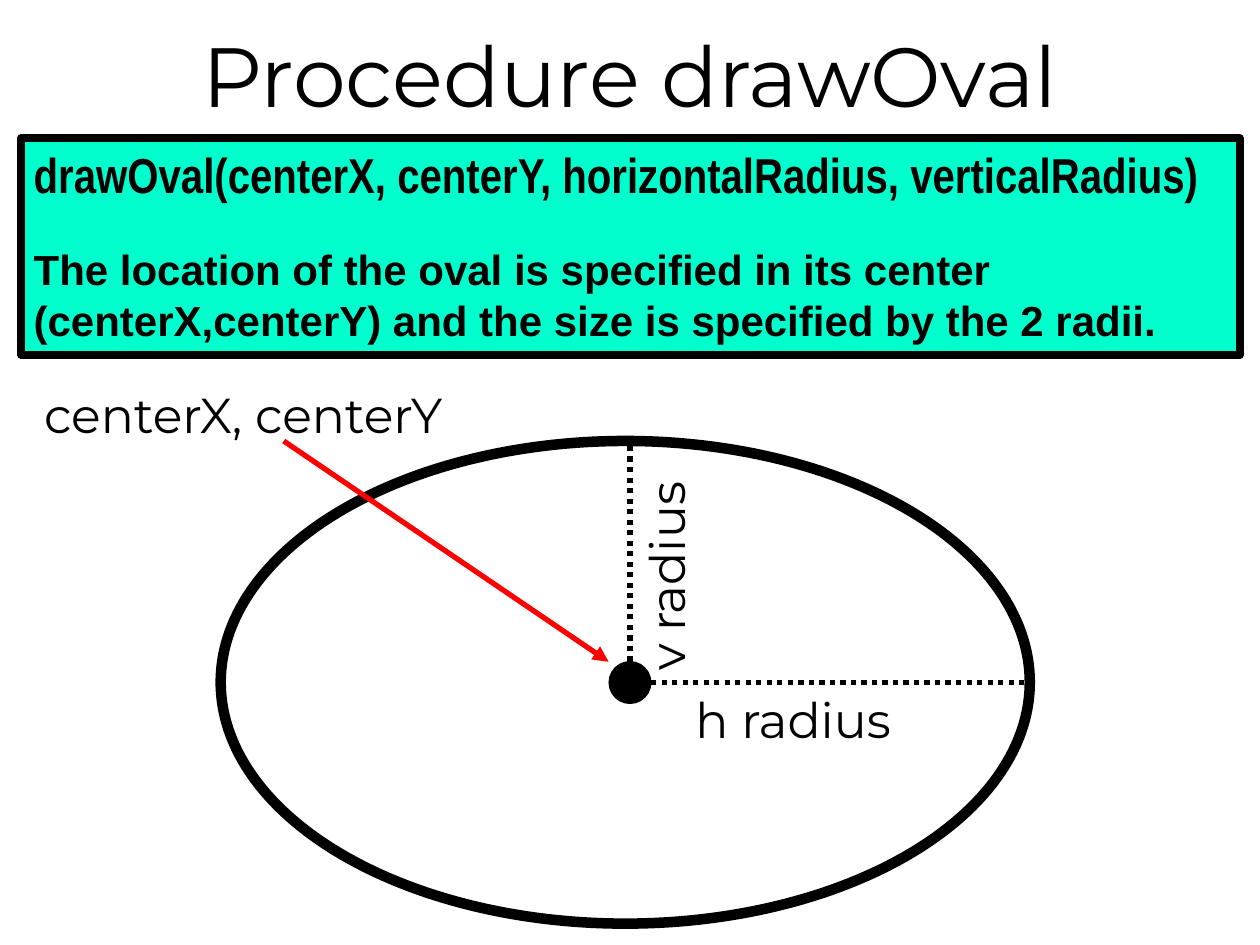
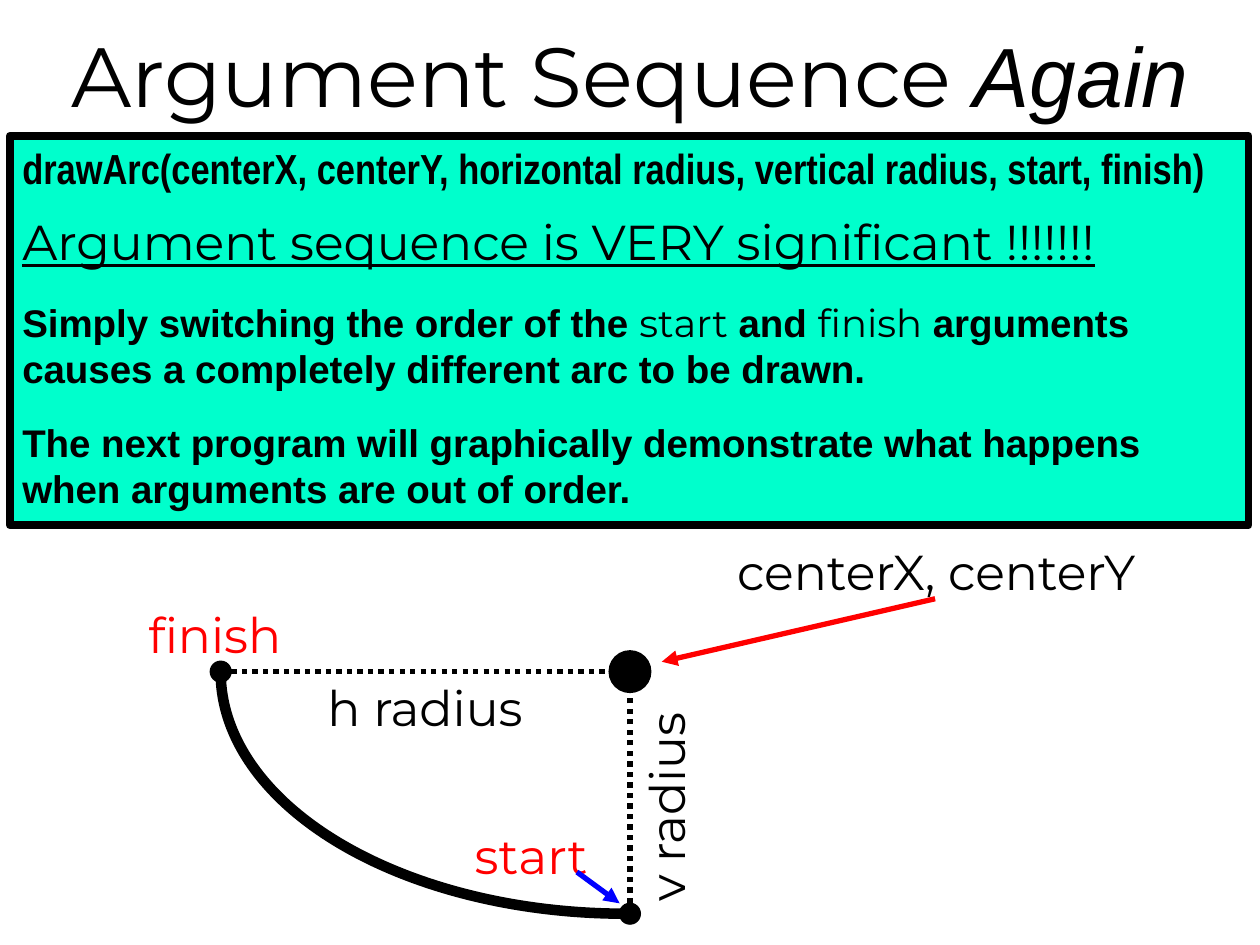
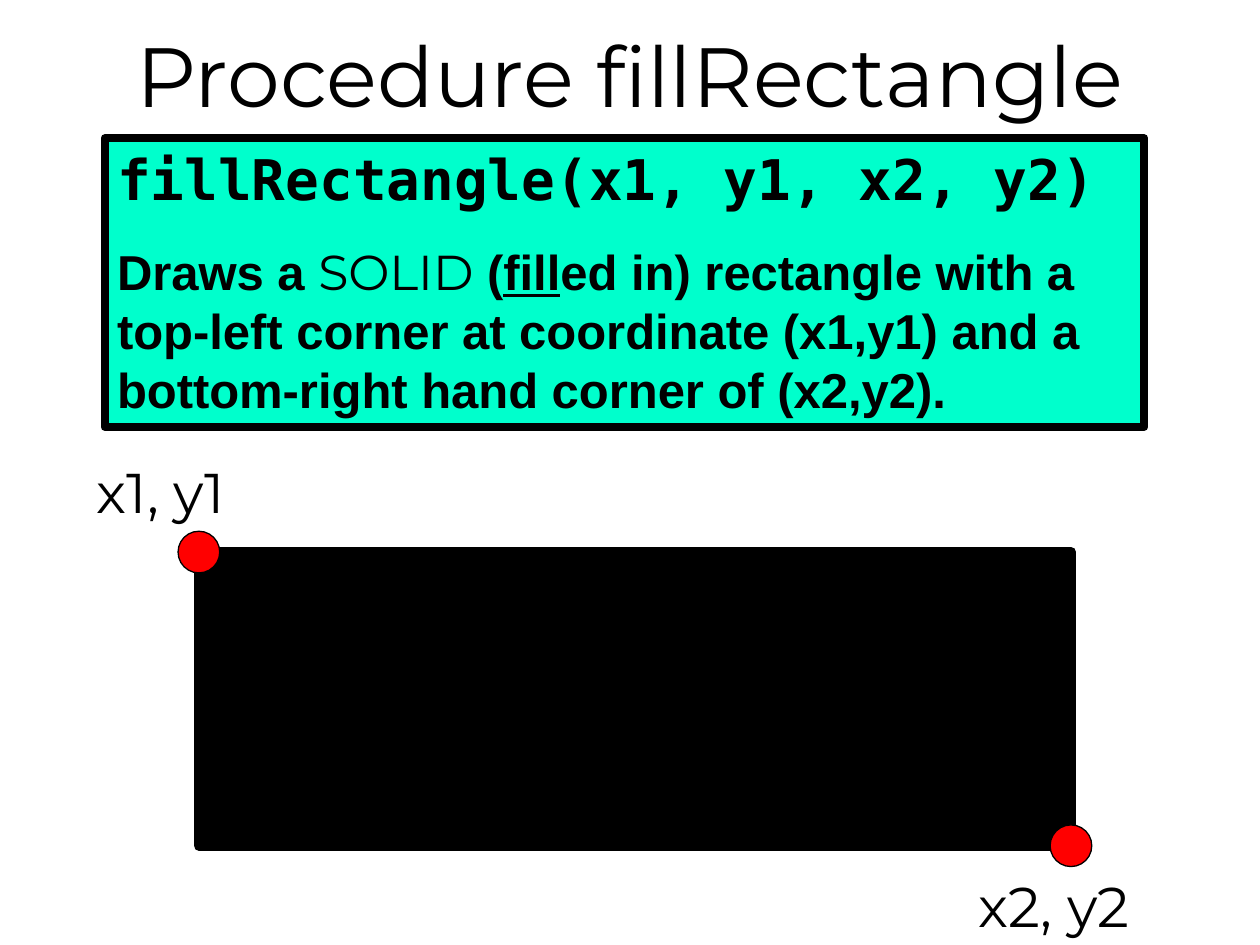
import dataclasses

import lxml.etree
import pptx
import pptx.dml.color
import pptx.enum.dml
import pptx.enum.shapes
import pptx.enum.text
import pptx.oxml.ns
import pptx.util

Cm = pptx.util.Cm
Pt = pptx.util.Pt
Kind = pptx.enum.shapes.MSO_SHAPE
Align = pptx.enum.text.PP_ALIGN
Anchor = pptx.enum.text.MSO_ANCHOR
qn = pptx.oxml.ns.qn


@dataclasses.dataclass
class Theme:
    black: str = "000000"
    mint: str = "00FFCC"
    red: str = "FF0000"
    blue: str = "0000FF"
    light: str = "Montserrat"
    plain: str = "Arial"
    slim: str = "Arial Narrow"
    mono: str = "DejaVu Sans Mono"
    title: int = 48
    large: int = 32
    label: int = 28
    body: int = 24
    small: int = 22
    thin: float = 0.75
    dots: float = 3
    frame: float = 4.5
    thick: float = 6


look = Theme()


def put(page, kind, area, fill=None, edge=None, text=(), ink=look.black, title=False):
    spots = [Cm(n) for n in area]
    if kind is None:
        shape = page.shapes.add_textbox(*spots)
    else:
        shape = page.shapes.add_shape(kind, *spots)
        shape.shadow.inherit = False
        if fill:
            shape.fill.solid()
            shape.fill.fore_color.rgb = pptx.dml.color.RGBColor.from_string(fill)
        else:
            shape.fill.background()
        shape.line.color.rgb = pptx.dml.color.RGBColor.from_string(look.black)
        shape.line.width = Pt(edge)
    frame = shape.text_frame
    frame.word_wrap = True
    frame.vertical_anchor = Anchor.MIDDLE if title else Anchor.TOP
    for i, (gap, runs) in enumerate(text):
        para = frame.add_paragraph() if i else frame.paragraphs[0]
        para.alignment = Align.CENTER if title else Align.LEFT
        if gap:
            para.space_before = Pt(gap)
        for words, face, size, style in runs:
            run = para.add_run()
            run.text = words
            run.font.name = face
            run.font.size = Pt(size)
            run.font.bold = "b" in style
            run.font.italic = "i" in style
            run.font.underline = "u" in style
            run.font.color.rgb = pptx.dml.color.RGBColor.from_string(ink)
    return shape


def link(page, start, end, ink=None):
    ends = [Cm(n) for n in (*start, *end)]
    line = page.shapes.add_connector(pptx.enum.shapes.MSO_CONNECTOR.STRAIGHT, *ends)
    line.line.color.rgb = pptx.dml.color.RGBColor.from_string(ink or look.black)
    line.line.width = Pt(look.dots)
    props = line._element.spPr
    if ink:
        lxml.etree.SubElement(props.find(qn("a:ln")), qn("a:tailEnd"), type="triangle")
    else:
        line.line.dash_style = pptx.enum.dml.MSO_LINE.ROUND_DOT
    lxml.etree.SubElement(props, qn("a:effectLst"))


deck = pptx.Presentation()
deck.slide_width = Cm(25.4)
deck.slide_height = Cm(19.05)

heads = [
    [("Procedure drawOval", look.light, look.title, "")],
    [
        ("Argument Sequence ", look.light, look.title, ""),
        ("Again", look.plain, look.title, "i"),
    ],
    [("Procedure fillRectangle", look.light, look.title, "")],
]
pages = []
for head in heads:
    page = deck.slides.add_slide(deck.slide_layouts[6])
    put(page, None, (0, 0, 25.4, 2.97), text=[(0, head)], title=True)
    pages.append(page)
oval, arc, solid = pages

bands = [
    (oval, (0.43, 2.79, 24.56, 4.37), [
        (0, [("drawOval(centerX, centerY, horizontalRadius, verticalRadius)",
              look.slim, look.label, "b")]),
        (23, [("The location of the oval is specified in its center (centerX,centerY) "
               "and the size is specified by the 2 radii.", look.plain, look.body, "b")]),
    ]),
    (arc, (0.2, 2.74, 24.97, 7.85), [
        (0, [("drawArc(centerX, centerY, horizontal radius, vertical radius, start, finish)",
              look.slim, look.body, "b")]),
        (11, [("Argument sequence is VERY significant !!!!!!!",
               look.light, look.label, "u")]),
        (16, [
            ("Simply switching the order of the ", look.plain, look.small, "b"),
            ("start", look.light, look.small, ""),
            (" and ", look.plain, look.small, "b"),
            ("finish", look.light, look.small, ""),
            (" arguments causes a completely different arc to be drawn.",
             look.plain, look.small, "b"),
        ]),
        (16, [("The next program will graphically demonstrate what happens when "
               "arguments are out of order.", look.plain, look.small, "b")]),
    ]),
    (solid, (2.11, 2.79, 20.96, 5.82), [
        (0, [("fillRectangle(x1, y1, x2, y2)", look.mono, look.large, "b")]),
        (17, [
            ("Draws a ", look.plain, look.label, "b"),
            ("SOLID", look.light, look.label, ""),
            (" (", look.plain, look.label, "b"),
            ("fill", look.plain, look.label, "bu"),
            ("ed in) rectangle with a top-left corner at coordinate (x1,y1) "
             "and a bottom-right hand corner of (x2,y2).", look.plain, look.label, "b"),
        ]),
    ]),
]
for page, area, text in bands:
    put(page, Kind.RECTANGLE, area, look.mint, look.frame, text)

put(oval, Kind.OVAL, (4.45, 8.89, 16.31, 9.73), edge=look.thick)
curve = put(arc, Kind.ARC, (4.45, 8.69, 16.31, 9.73), edge=look.thick)
curve.adjustments[0] = 54
curve.adjustments[1] = 108
left, top, wide, high = 4.01, 11.13, 17.58, 5.92
put(solid, Kind.RECTANGLE, (left, top, wide, high), look.black, look.thick)

big, tiny = 0.42, 0.21
spots = [
    (oval, 12.7, 13.76, big, look.black),
    (arc, 12.7, 13.54, big, look.black),
    (arc, 4.45, 13.54, tiny, look.black),
    (arc, 12.7, 18.42, tiny, look.black),
    (solid, left, top, big, look.red),
    (solid, left + wide, top + high, big, look.red),
]
for page, x, y, r, fill in spots:
    put(page, Kind.OVAL, (x - r, y - r, 2 * r, 2 * r), fill, look.thin)

labels = [
    (oval, "centerX, centerY", 0.64, 7.62, 10.16, look.label, look.black, 0),
    (oval, "h radius", 13.77, 13.77, 5.51, look.label, look.black, 0),
    (oval, "v radius", 10.67, 10.29, 5.51, look.label, look.black, 270),
    (arc, "centerX, centerY", 14.61, 10.8, 10.16, look.label, look.black, 0),
    (arc, "finish", 2.74, 12.07, 3.81, look.label, look.red, 0),
    (arc, "start", 9.32, 16.51, 3.81, look.label, look.red, 0),
    (arc, "v radius", 10.67, 14.94, 5.51, look.label, look.black, 270),
    (arc, "h radius", 6.35, 13.54, 5.51, look.label, look.black, 0),
    (solid, "x1, y1", 1.7, 9.09, 5.08, look.large, look.black, 0),
    (solid, "x2, y2", 19.48, 17.45, 5.08, look.large, look.black, 0),
]
for page, words, x, y, span, size, ink, turn in labels:
    text = [(0, [(words, look.light, size, "")])]
    box = put(page, None, (x, y, span, 1.45 if size == look.label else 1.6),
              text=text, ink=ink)
    box.rotation = turn

lines = [
    (oval, (12.7, 13.76), (20.75, 13.76), None),
    (oval, (12.7, 13.76), (12.7, 8.89), None),
    (oval, (5.72, 8.89), (12.27, 13.34), look.red),
    (arc, (4.45, 13.54), (12.49, 13.54), None),
    (arc, (12.7, 18.42), (12.7, 13.54), None),
    (arc, (18.85, 12.07), (13.34, 13.34), look.red),
    (arc, (11.63, 17.58), (12.49, 18.21), look.blue),
]
for page, start, end, ink in lines:
    link(page, start, end, ink)

deck.save("out.pptx")
